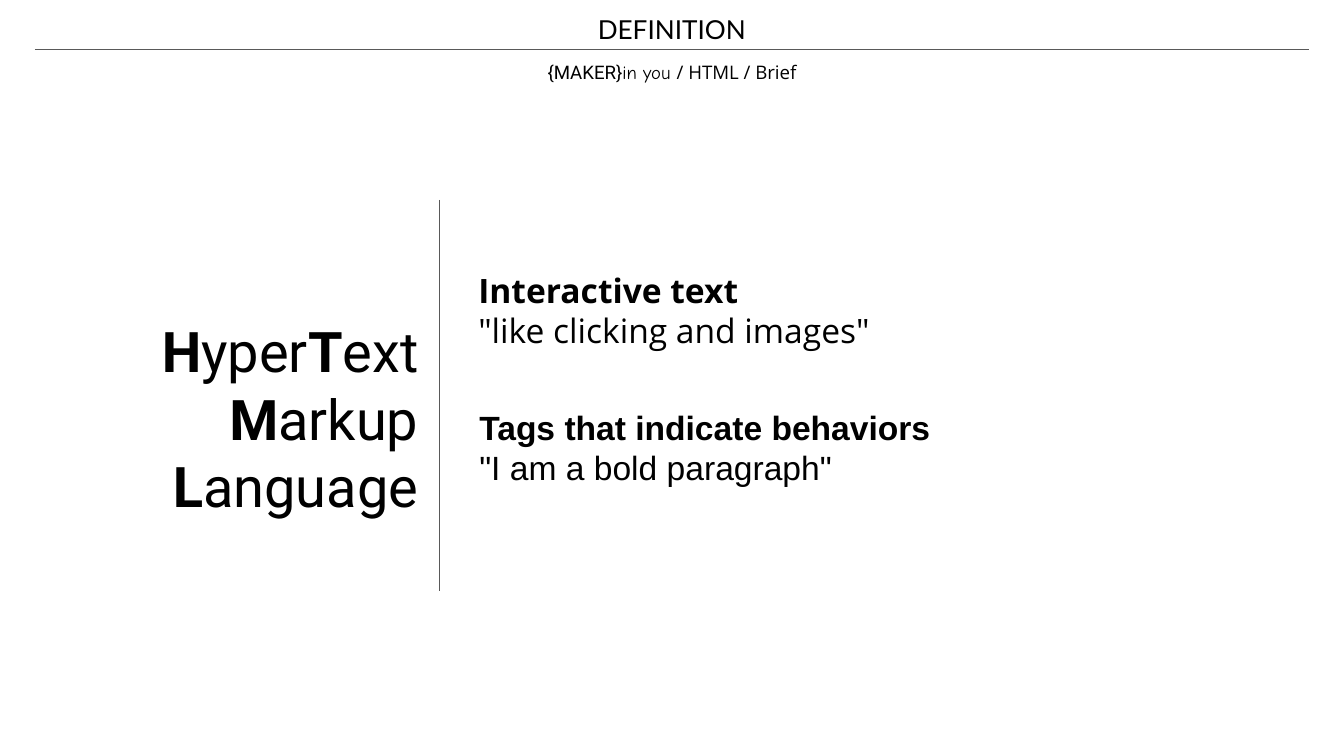
from dataclasses import dataclass

import lxml.etree
import pptx
import pptx.dml.color
import pptx.enum.shapes
import pptx.enum.text
import pptx.oxml.ns
import pptx.util

Cm = pptx.util.Cm
Align = pptx.enum.text.PP_ALIGN
Anchor = pptx.enum.text.MSO_ANCHOR

COLOURS = {"text": "000000", "rule": "595959"}
INSET = Cm(0.25)


@dataclass
class Span:
    text: str
    font: str
    bold: bool = False


@dataclass
class TextBlock:
    """A text box; position and size in centimetres, font size in points."""
    left: float
    top: float
    width: float
    height: float
    size: float
    paragraphs: list[list[Span]]
    align: Align = Align.LEFT
    anchor: Anchor = Anchor.TOP
    first_spacing: float = 1.0


@dataclass
class Rule:
    """A straight line; both ends in centimetres."""
    x1: float
    y1: float
    x2: float
    y2: float


def colour(name: str) -> pptx.dml.color.RGBColor:
    return pptx.dml.color.RGBColor.from_string(COLOURS[name])


def set_all(target: object, values: dict) -> None:
    for name, value in values.items():
        setattr(target, name, value)


def draw_text(page: pptx.slide.Slide, block: TextBlock) -> None:
    box = page.shapes.add_textbox(
        Cm(block.left), Cm(block.top), Cm(block.width), Cm(block.height))
    frame = box.text_frame
    set_all(frame, {
        "word_wrap": True, "vertical_anchor": block.anchor,
        "margin_left": INSET, "margin_right": INSET,
        "margin_top": INSET, "margin_bottom": INSET,
    })
    for index, spans in enumerate(block.paragraphs):
        para = frame.add_paragraph() if index else frame.paragraphs[0]
        spacing = 1.0 if index else block.first_spacing
        set_all(para, {"alignment": block.align, "line_spacing": spacing})
        for span in spans:
            run = para.add_run()
            run.text = span.text
            set_all(run.font, {"name": span.font, "bold": span.bold,
                               "size": pptx.util.Pt(block.size)})
            run.font.color.rgb = colour("text")


def draw_rule(page: pptx.slide.Slide, rule: Rule) -> None:
    line = page.shapes.add_connector(
        pptx.enum.shapes.MSO_CONNECTOR.STRAIGHT,
        Cm(rule.x1), Cm(rule.y1), Cm(rule.x2), Cm(rule.y2))
    line.line.color.rgb = colour("rule")
    line.line.width = pptx.util.Pt(0.75)
    properties = line._element.spPr
    lxml.etree.SubElement(properties, pptx.oxml.ns.qn("a:effectLst"))


def initials(*words: str) -> list[Span]:
    """Set each word with a bold first letter."""
    return [Span(part, "Roboto", bold)
            for word in words
            for part, bold in ((word[0], True), (word[1:], False))]


def meaning(top: float, left: float, font: str, heading: str,
            example: str) -> TextBlock:
    """A bold heading with an example below it."""
    return TextBlock(left, top, 14.17, 1.19, 18,
                     [[Span(heading, font, True)], [Span(example, font)]])


BLOCKS = [
    # Header: title and breadcrumb
    TextBlock(8.05, 0, 9.3, 0.97, 14, [[Span("DEFINITION", "Lato")]],
              Align.CENTER),
    TextBlock(8.05, 0.94, 9.3, 0.84, 10,
              [[Span("{MAKER}", "Roboto"), Span("in you ", "Comic Neue"),
                Span("/ HTML / Brief", "Open Sans")]],
              Align.CENTER, Anchor.BOTTOM),
    # The term, written out
    TextBlock(2.24, 4.47, 5.92, 7.11, 30,
              [initials("Hyper", "Text"), initials("Markup"),
               initials("Language")],
              Align.RIGHT, first_spacing=2.0),
    # What its parts mean
    meaning(4.85, 8.79, "Open Sans", "Interactive text",
            '"like clicking and images"'),
    meaning(7.44, 8.81, "Arial", "Tags that indicate behaviors",
            '"I am a bold paragraph"'),
]

# Header underline and the divider between term and meanings
RULES = [Rule(0.66, 0.94, 24.74, 0.94), Rule(8.31, 3.78, 8.31, 11.18)]


def main() -> None:
    deck = pptx.Presentation()
    set_all(deck, {"slide_width": Cm(25.4), "slide_height": Cm(14.29)})
    page = deck.slides.add_slide(deck.slide_layouts[6])
    for block in BLOCKS:
        draw_text(page, block)
    for rule in RULES:
        draw_rule(page, rule)
    deck.save("out.pptx")


if __name__ == "__main__":
    main()
